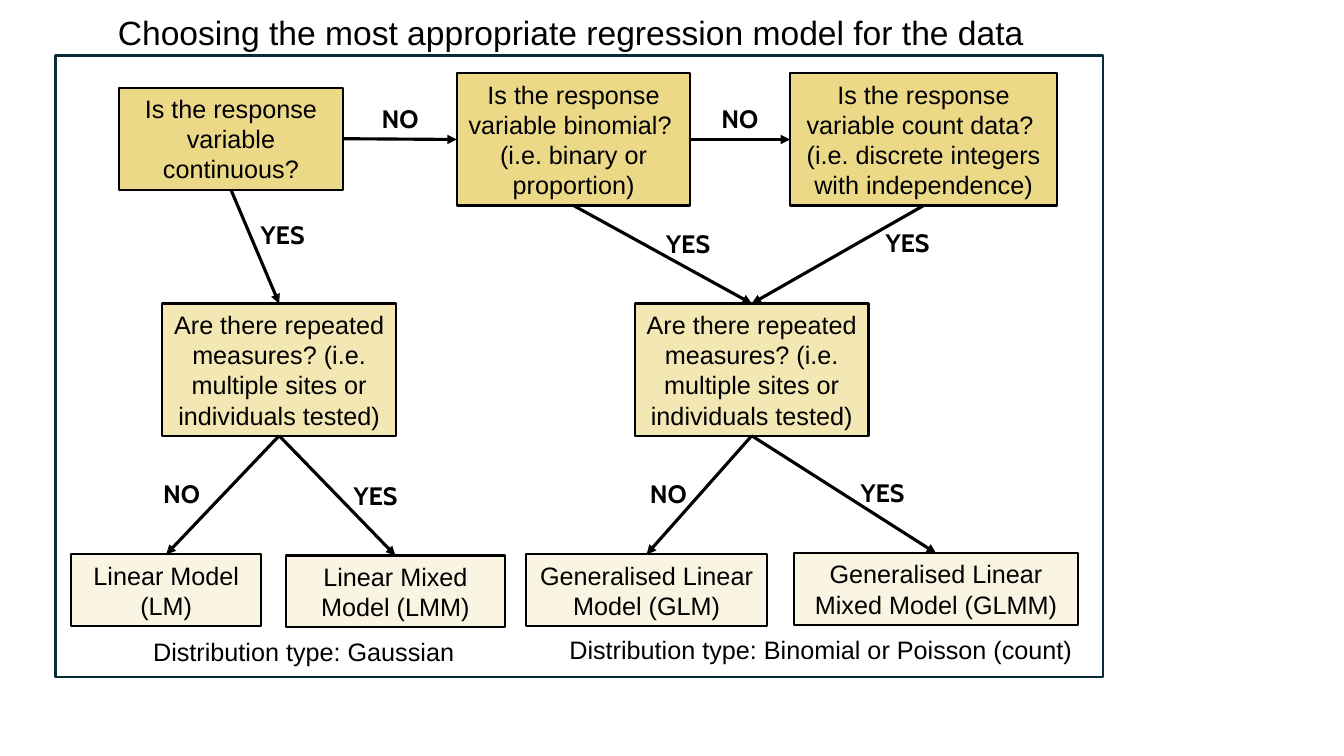
from collections import namedtuple

from lxml.etree import SubElement
from pptx import Presentation
from pptx.dml.color import RGBColor
from pptx.enum.shapes import MSO_CONNECTOR as Conn, MSO_SHAPE as Form
from pptx.enum.text import MSO_ANCHOR as Anchor, MSO_AUTO_SIZE as Fit, PP_ALIGN as Align
from pptx.oxml.ns import qn
from pptx.util import Cm, Pt

Box = namedtuple("Box", "x y w h")

HUES = {
    "ink": "000000",
    "frame": "092A39",
    "first": "ECD988",
    "second": "F3E7B3",
    "model": "FAF5E2",
}
TOP, LEFT, BOTTOM, RIGHT = range(4)
WIDTHS = {"YES": 1.65, "NO": 1.45}


def hue(name):
    return RGBColor.from_string(HUES[name])


def write(shape, text, size=18, font="Arial", bold=False, align=Align.LEFT, wrap=False):
    """Fill a shape with text, one paragraph per line."""
    frame = shape.text_frame
    frame.word_wrap = wrap
    frame.auto_size = Fit.SHAPE_TO_FIT_TEXT
    frame.text = text
    for para in frame.paragraphs:
        para.alignment = align
        face = para.runs[0].font
        face.size, face.name, face.bold = Pt(size), font, bold
        face.color.rgb = hue("ink")


def rect(slide, box, fill=None, line="ink"):
    shape = slide.shapes.add_shape(Form.RECTANGLE, *map(Cm, box))
    shape.shadow.inherit = False
    if fill:
        shape.fill.solid()
        shape.fill.fore_color.rgb = hue(fill)
    else:
        shape.fill.background()
    shape.line.color.rgb = hue(line)
    shape.line.width = Pt(1.5)
    return shape


def node(slide, text, box, fill):
    shape = rect(slide, box, fill)
    write(shape, text, align=Align.CENTER, wrap=True)
    shape.text_frame.vertical_anchor = Anchor.MIDDLE
    return shape


def label(slide, text, box, **style):
    write(slide.shapes.add_textbox(*map(Cm, box)), text, **style)


def answer(slide, text, x, y):
    label(slide, text, Box(x, y, WIDTHS[text], 1.02), font="Cabin", bold=True)


def arrow(slide, start, end, out=BOTTOM, into=TOP):
    """Join two nodes with an arrow that points at the second."""
    line = slide.shapes.add_connector(Conn.STRAIGHT, 0, 0, 0, 0)
    line.begin_connect(start, out)
    line.end_connect(end, into)
    line.line.color.rgb = hue("ink")
    line.line.width = Pt(2.25)
    SubElement(line.line._get_or_add_ln(), qn("a:tailEnd"), type="triangle")
    SubElement(line._element.spPr, qn("a:effectLst"))


def add_first(slide, box):
    """Place the row of questions on the response variable."""
    rows = [
        ("Is the response variable continuous?", 0, 0.36, 5.64, 2.57),
        ("Is the response variable binomial? \n(i.e. binary or proportion)",
         8.51, 0, 5.89, 3.33),
        ("Is the response variable count data? \n"
         "(i.e. discrete integers with independence)", 16.91, 0, 6.73, 3.33),
    ]
    nodes = [node(slide, text, Box(box.x + x, box.y + y, w, h), "first")
             for text, x, y, w, h in rows]
    for start, end in zip(nodes, nodes[1:]):
        arrow(slide, start, end, RIGHT, LEFT)
    for x in (6.37, 14.93):
        answer(slide, "NO", box.x + x, box.y + 0.64)
    for x, y in ((3.32, 3.56), (13.54, 3.79), (19.07, 3.76)):
        answer(slide, "YES", box.x + x, box.y + y)
    return nodes


def add_branch(slide, box, shift, models, answers, note):
    """Place a repeated-measures question with its two models and a note."""
    ask = node(slide, "Are there repeated measures? (i.e. multiple sites or individuals tested)",
               Box(box.x + shift, box.y, 5.89, 3.33), "second")
    for text, x, y, w in models:
        arrow(slide, ask, node(slide, text, Box(box.x + x, box.y + y, w, 1.8), "model"))
    for text, x, y in answers:
        answer(slide, text, box.x + x, box.y + y)
    text, x, y, w = note
    label(slide, text, Box(box.x + x, box.y + y, w, 1.02))
    return ask


def add_chart(slide, box):
    """Place the whole decision chart in its frame."""
    label(slide, "Choosing the most appropriate regression model for the data",
          Box(box.x + 1.32, box.y - 1.22, 23.57, 1.27), size=24)
    cont, binom, count = add_first(slide, Box(box.x + 1.6, box.y + 0.45, 23.64, 3.33))
    linear = add_branch(
        slide, Box(box.x + 0.4, box.y + 6.25, 10.92, 9.27), 2.29,
        [("Linear Model (LM)", 0, 6.32, 4.78),
         ("Linear Mixed Model (LMM)", 5.41, 6.35, 5.51)],
        [("NO", 2.06, 4.29), ("YES", 6.86, 4.34)],
        ("Distribution type: Gaussian", 1.81, 8.25, 8.18))
    general = add_branch(
        slide, Box(box.x + 11.86, box.y + 6.25, 13.9, 9.22), 2.74,
        [("Generalised Linear Model (GLM)", 0, 6.32, 6.07),
         ("Generalised Linear Mixed Model (GLMM)", 6.76, 6.29, 7.14)],
        [("NO", 2.87, 4.29), ("YES", 8.18, 4.26)],
        ("Distribution type: Binomial or Poisson (count)", 0.84, 8.2, 13.31))
    for start, end in ((cont, linear), (binom, general), (count, general)):
        arrow(slide, start, end)
    rect(slide, box, line="frame")


def main():
    deck = Presentation()
    deck.slide_width, deck.slide_height = Cm(33.87), Cm(19.05)
    slide = deck.slides.add_slide(deck.slide_layouts[6])
    add_chart(slide, Box(1.4, 1.4, 26.4, 15.67))
    deck.save("out.pptx")


if __name__ == "__main__":
    main()
